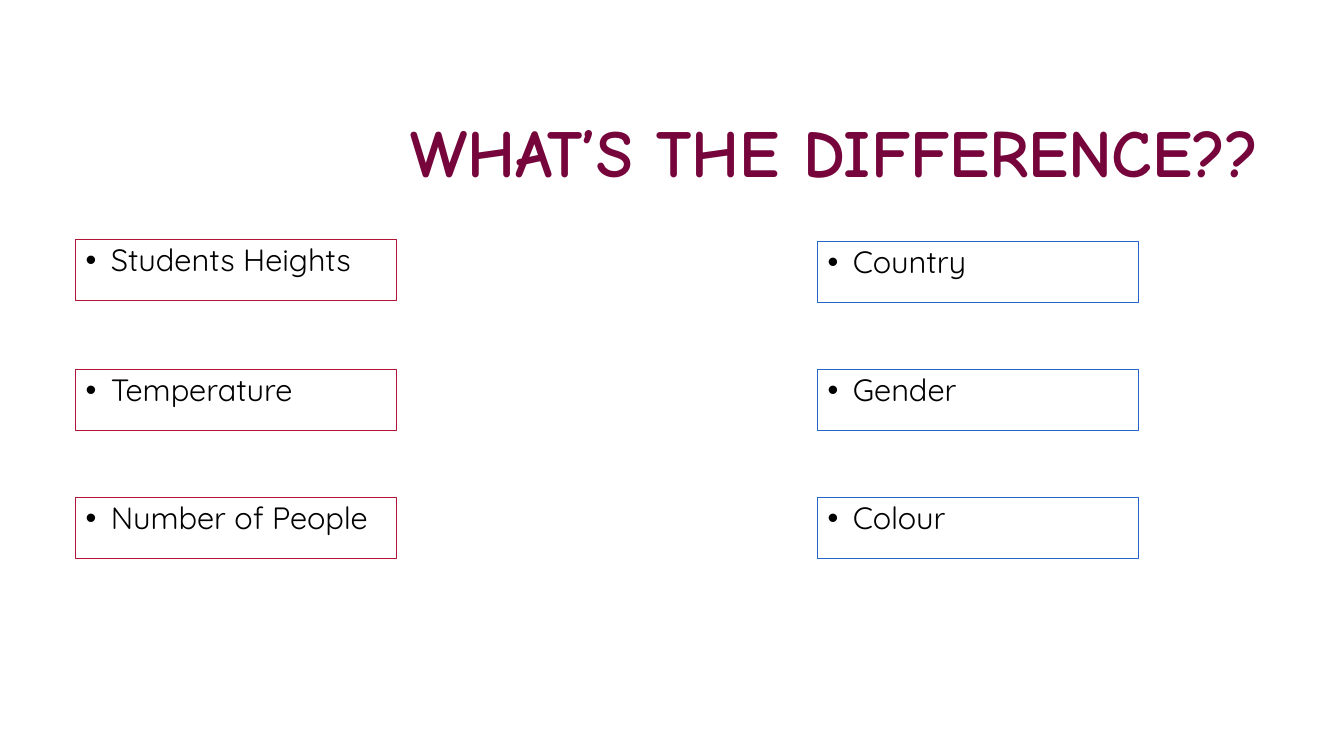
"""Build a slide with a title and two columns of bulleted boxes."""
from lxml.etree import SubElement
from pptx import Presentation
from pptx.dml.color import RGBColor
from pptx.enum.shapes import MSO_SHAPE as Shape
from pptx.enum.text import MSO_ANCHOR as Anchor, MSO_AUTO_SIZE as AutoSize, PP_ALIGN as Align
from pptx.oxml.ns import qn
from pptx.util import Inches, Pt

PLUM = RGBColor(0x76, 0x05, 0x3B)
CRIMSON = RGBColor(0xB0, 0x15, 0x38)
BLUE = RGBColor(0x23, 0x65, 0xC9)
BLACK = RGBColor(0, 0, 0)

COLUMNS = [
    (0.75, CRIMSON, [(2.38, "Students Heights"), (3.67, "Temperature"), (4.94, "Number of People")]),
    (8.11, BLUE, [(2.4, "Country"), (3.67, "Gender"), (4.94, "Colour")]),
]


class SlideBuilder:
    title_font = "Comic Neue"
    body_font = "Quicksand"
    box_width = Inches(3.18)
    box_height = Inches(0.6)

    def __init__(self, deck):
        self.page = deck.slides.add_slide(deck.slide_layouts[5])

    def style(self, para, name, size, color, bold=False):
        para.line_spacing = 0.9
        para.font.name = name
        para.font.size = Pt(size)
        para.font.bold = bold
        para.font.color.rgb = color

    def title(self, text):
        title = self.page.shapes.title
        title.left, title.top = Inches(3.17), Inches(0.84)
        title.width, title.height = Inches(9.42), Inches(1.41)
        frame = title.text_frame
        frame.text = text
        frame.word_wrap = True
        frame.auto_size = AutoSize.NONE
        frame.vertical_anchor = Anchor.MIDDLE
        para = frame.paragraphs[0]
        para.alignment = Align.RIGHT
        self.style(para, self.title_font, 48, PLUM, bold=True)

    def bullet(self, para):
        properties = para._p.get_or_add_pPr()
        properties.set("marL", str(Inches(0.25)))
        properties.set("indent", str(Inches(-0.25)))
        SubElement(properties, qn("a:buFont"), typeface="Arial")
        SubElement(properties, qn("a:buChar"), char="•")

    def bullet_box(self, left, top, text, line_color):
        box = self.page.shapes.add_shape(
            Shape.RECTANGLE, Inches(left), Inches(top), self.box_width, self.box_height)
        box.shadow.inherit = False
        box.fill.background()
        box.line.color.rgb = line_color
        box.line.width = Pt(0.75)
        frame = box.text_frame
        frame.text = text
        frame.word_wrap = True
        frame.vertical_anchor = Anchor.TOP
        para = frame.paragraphs[0]
        para.alignment = Align.LEFT
        self.bullet(para)
        self.style(para, self.body_font, 22, BLACK)


def main():
    deck = Presentation()
    deck.slide_width, deck.slide_height = Inches(13.33), Inches(7.5)
    builder = SlideBuilder(deck)
    builder.title("WHAT’S THE DIFFERENCE??")
    for left, color, examples in COLUMNS:
        for top, text in examples:
            builder.bullet_box(left, top, text, color)
    deck.save("out.pptx")


if __name__ == "__main__":
    main()
